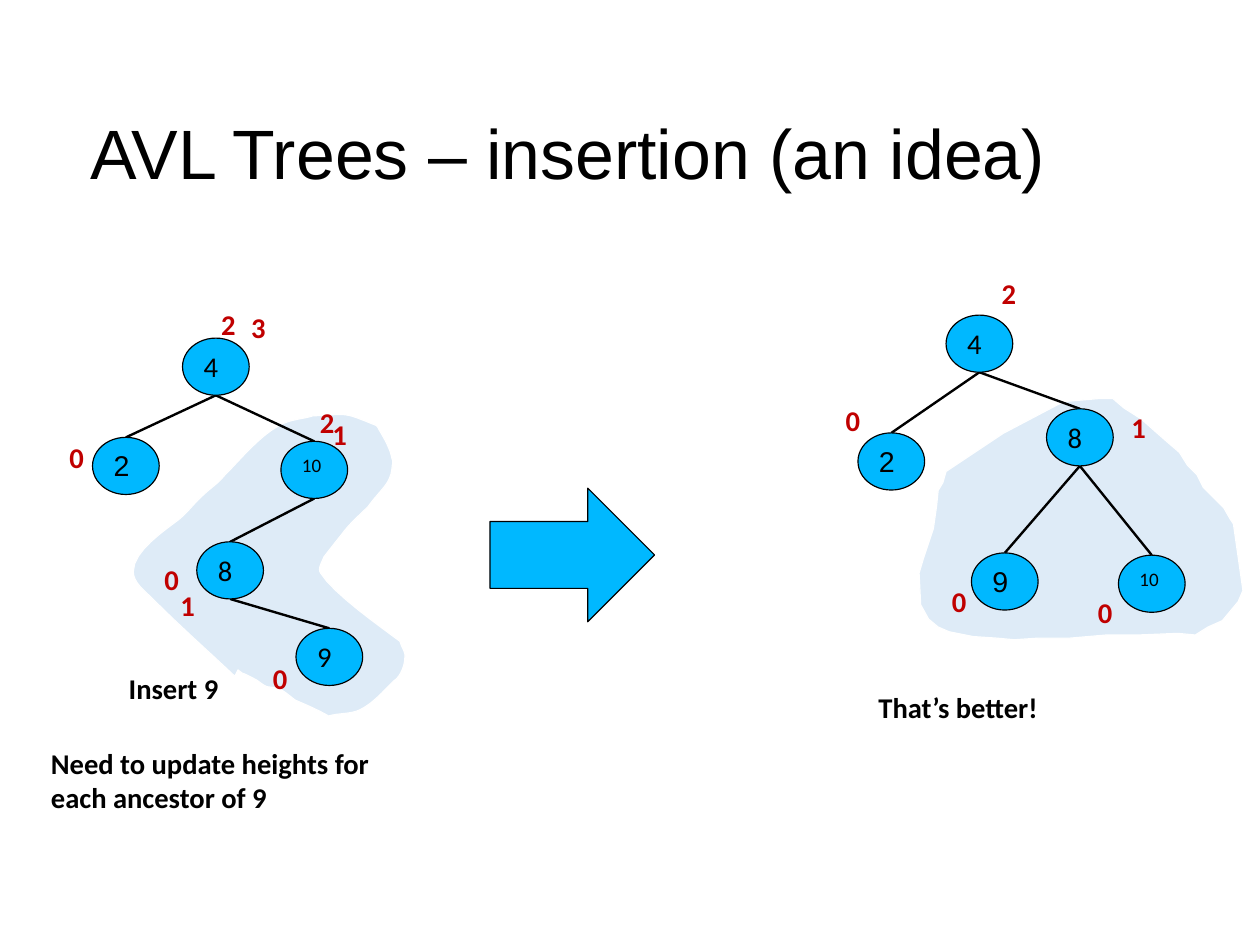
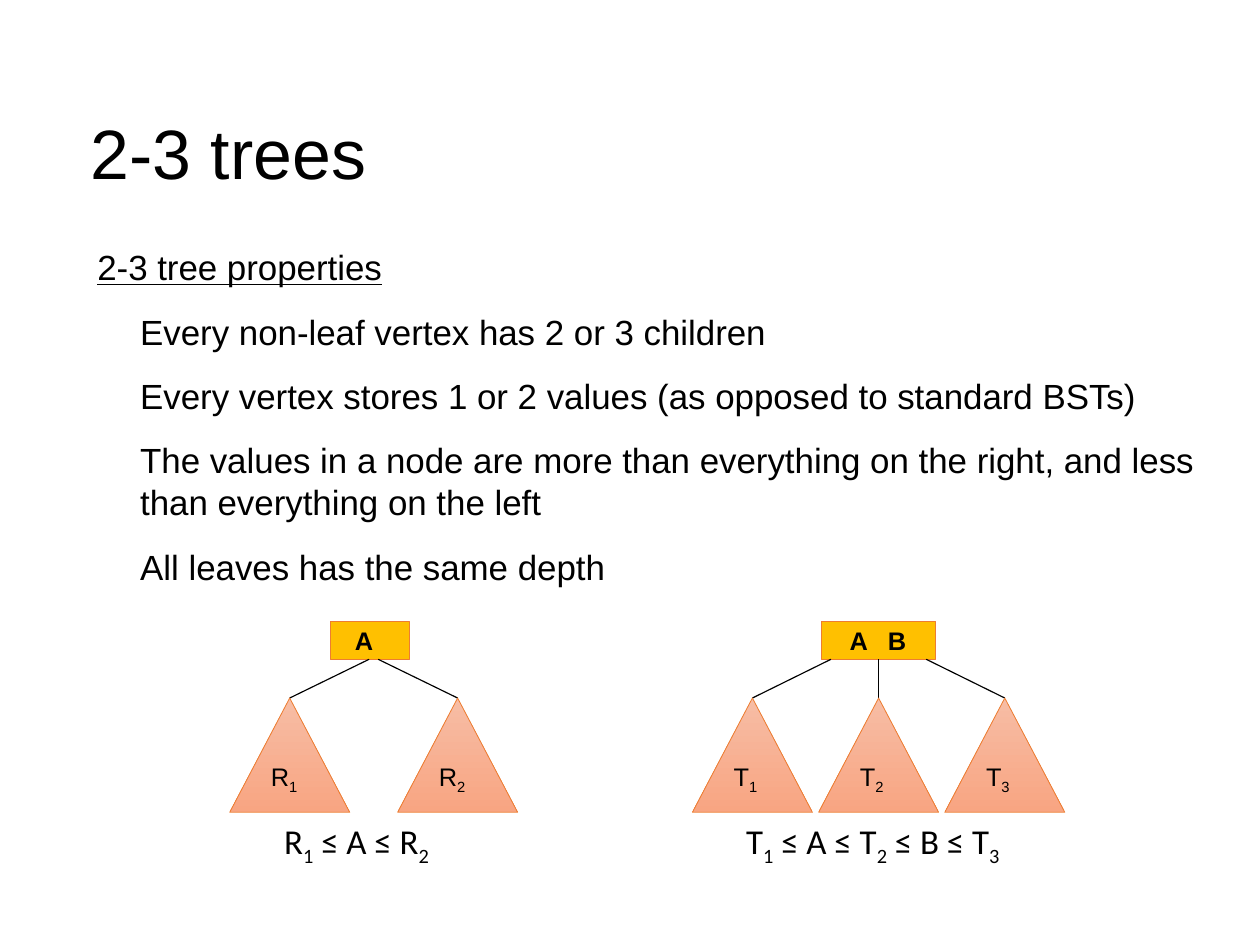
from lxml import etree
from pptx import Presentation
from pptx.dml.color import RGBColor
from pptx.enum.shapes import MSO_CONNECTOR, MSO_SHAPE
from pptx.enum.text import MSO_ANCHOR, PP_ALIGN
from pptx.oxml.ns import qn
from pptx.util import Pt

LINE = MSO_CONNECTOR.STRAIGHT
OVAL, RECT = MSO_SHAPE.OVAL, MSO_SHAPE.RECTANGLE
PEAK, ARROW = MSO_SHAPE.ISOSCELES_TRIANGLE, MSO_SHAPE.RIGHT_ARROW
TOP, MID = MSO_ANCHOR.TOP, MSO_ANCHOR.MIDDLE
LEFT = PP_ALIGN.LEFT
SANS, BODY = "Arial", "Calibri"

HUES = {
    "ink": "000000", "white": "FFFFFF", "node": "00B8FF", "red": "C00000",
    "cloud": "DEEBF7", "gold": "FFC000", "rust": "ED7D31",
    "light": "F7BDA5", "deep": "F8A582",
}
SIZE = (793.75, 595.25)
NODE_W, NODE_H = 42, 36

# Each node: left, top, size, font; each edge: parent, child; heights: text, left, top
TREES = [
    {
        "nodes": {
            "4": (115, 213, 18, BODY), "2": (58.3, 275.5, 18, SANS),
            "10": (177, 278, 12, BODY), "8": (124, 341.3, 18, BODY),
            "9": (186.5, 395.8, 18, BODY),
        },
        "edges": [("4", "2"), ("4", "10"), ("10", "8"), ("8", "9")],
        "heights": [
            ("0", 36.7, 273.6), ("0", 96.5, 350.6), ("1", 202.3, 258.9),
            ("2", 132.3, 189.8), ("3", 151.2, 191.9), ("0", 164.9, 413),
            ("2", 194.4, 251.3), ("1", 106.6, 367),
        ],
    },
    {
        "nodes": {
            "4": (596, 198.5, 18, BODY), "2": (540.5, 272.7, 18, SANS),
            "8": (659.3, 257.5, 18, BODY), "9": (612, 348.3, 18, SANS),
            "10": (704.6, 349.7, 12, BODY),
        },
        "edges": [("4", "2"), ("4", "8"), ("8", "9"), ("8", "10")],
        "heights": [
            ("0", 525.6, 250.4), ("1", 705.6, 254.6), ("2", 624, 170),
            ("0", 592.6, 364), ("0", 684.5, 371.3),
        ],
    },
]
NOTES = [
    ("Insert 9", (74, 419, 105, 27)),
    ("Need to update heights for each ancestor of 9", (25, 466.2, 220, 48)),
    ("That’s better!", (546.3, 431, 245, 27)),
]
# Outline as straight steps
RIGHT_CLOUD = [
    (596, 297), (632, 273), (670, 253), (693, 251), (701, 251), (708, 257),
    (719, 264), (728, 272), (736, 279), (743, 285), (748, 293), (754, 299),
    (758, 307), (765, 314), (771, 320), (775, 327), (777, 330), (783, 372),
    (780, 379), (775, 385), (770, 391), (761, 395), (753, 400), (742, 399),
    (717, 400), (697, 400), (674, 402), (654, 402), (639, 403), (628, 402),
    (613, 401), (598, 398), (591, 395), (585, 390), (580, 381), (579, 361),
    (582, 351), (586, 339), (588, 333), (590, 319), (591, 309), (594, 304),
]
# Outline as a start point, then two handles and an end for each curve
LEFT_CLOUD = [
    (148, 426),
    (131, 410), (113, 394), (96, 377), (91, 372), (84, 367), (84, 360),
    (84, 347), (104, 334), (113, 327), (119, 322), (123, 316), (129, 311),
    (132, 308), (138, 304), (141, 300), (151, 290), (163, 275), (176, 268),
    (183, 264), (191, 264), (197, 262), (220, 261), (215, 259), (237, 268),
    (238, 269), (238, 269), (239, 271), (242, 276), (246, 283), (247, 289),
    (248, 291), (247, 293), (247, 295), (246, 305), (240, 308), (232, 319),
    (226, 325), (220, 330), (215, 337), (211, 342), (207, 347), (204, 351),
    (203, 354), (200, 358), (202, 361), (210, 374), (240, 395), (252, 404),
    (253, 408), (256, 411), (255, 415), (255, 418), (253, 426), (248, 429),
    (241, 436), (235, 443), (227, 447), (221, 450), (214, 449), (207, 451),
    (200, 447), (193, 444), (186, 441), (182, 438), (179, 435), (174, 433),
    (172, 433), (169, 433), (167, 432), (165, 431), (163, 429), (161, 428),
    (150, 422), (155, 426), (150, 422),
]

RULES = [
    "2-3 tree properties",
    "Every non-leaf vertex has 2 or 3 children",
    "Every vertex stores 1 or 2 values (as opposed to standard BSTs)",
    "The values in a node are more than everything on the right, "
    "and less than everything on the left",
    "All leaves has the same depth",
]
# Text between bars is a subscript
SPLITS = [
    {"keys": "A\tB", "box": (517.5, 72), "pad": 17.8,
     "kids": ["T|1", "T|2", "T|3"], "apex": 474, "step": 79.5, "fan": 30,
     "law": "T|1| ≤ A ≤ T|2| ≤ B ≤ T|3", "law_at": (463, 204.5)},
    {"keys": "A", "box": (208, 49.7), "pad": 15.6, "kids": ["R|1", "R|2"],
     "apex": 182.5, "step": 105.8, "fan": 5.7,
     "law": "R|1| ≤ A ≤ R|2", "law_at": (172, 125)},
]
KEY_Y, KEY_H, KID_Y = 391.5, 23.8, 439.7
KID_W, KID_H, LAW_Y, KEY_GAP = 75.6, 72, 512.6, 24


def hue(name):
    return RGBColor.from_string(HUES[name])


def pts(nums):
    return [Pt(n) for n in nums]


def write(par, text, size, font, color="ink", bold=False):
    """Add runs to a paragraph; every second piece between bars is a subscript."""
    for i, part in enumerate(text.split("|")):
        run = par.add_run()
        run.text = part
        face = run.font
        face.size, face.name, face.bold = Pt(size), font, bold
        face.color.rgb = hue(color)
        if i % 2:
            run._r.get_or_add_rPr().set("baseline", "-25000")


def add_text(slide, box, text, size, font, color="ink", bold=False, wrap=True):
    frame = slide.shapes.add_textbox(*pts(box)).text_frame
    frame.word_wrap = wrap
    write(frame.paragraphs[0], text, size, font, color, bold)
    return frame


def pad(frame, left, top, right=0, low=0):
    frame.margin_left, frame.margin_top = Pt(left), Pt(top)
    frame.margin_right, frame.margin_bottom = Pt(right), Pt(low)


def edge_line(shape, color, width):
    shape.line.color.rgb = hue(color)
    shape.line.width = Pt(width)


def add_form(slide, kind, box, fill, line="ink", width=0.75):
    form = slide.shapes.add_shape(kind, *pts(box))
    form.shadow.inherit = False
    if fill:
        form.fill.solid()
        form.fill.fore_color.rgb = hue(fill)
    edge_line(form, line, width)
    return form


def label(form, text, size, font):
    frame = form.text_frame
    frame.vertical_anchor = TOP
    par = frame.paragraphs[0]
    par.alignment, par.line_spacing = LEFT, 0.93
    write(par, text, size, font)


def add_line(slide, start, end, width):
    link = slide.shapes.add_connector(LINE, *pts(start + end))
    edge_line(link, "ink", width)
    etree.SubElement(link._element.spPr, qn("a:effectLst"))


def add_cloud(slide, dots):
    # Pens round to whole units, so draw in hundredths of a point
    fine = [(x * 100, y * 100) for x, y in dots]
    pen = slide.shapes.build_freeform(*fine[0], scale=Pt(1) / 100)
    pen.add_line_segments(fine[1:], close=True)
    cloud = pen.convert_to_shape()
    cloud.shadow.inherit = False
    cloud.fill.solid()
    cloud.fill.fore_color.rgb = hue("cloud")
    edge_line(cloud, "white", 0.75)


def flatten(curve, steps=8):
    """Turn a chain of cubic curves into a list of points."""
    dots = [curve[0]]
    for i in range(0, len(curve) - 1, 3):
        for k in range(1, steps + 1):
            t = k / steps
            mix = ((1 - t) ** 3, 3 * t * (1 - t) ** 2, 3 * t * t * (1 - t), t ** 3)
            dots.append(tuple(
                sum(m * p[axis] for m, p in zip(mix, curve[i:i + 4]))
                for axis in (0, 1)))
    return dots


def new_slide(deck, title):
    slide = deck.slides.add_slide(deck.slide_layouts[6])
    frame = add_text(slide, (57, 44.6, 666, 98.6), title, 44, SANS)
    pad(frame, 0, 3)
    frame.vertical_anchor = MID
    return slide


def draw_tree(slide, tree):
    nodes = tree["nodes"]
    for top, low in tree["edges"]:
        (x1, y1), (x2, y2) = nodes[top][:2], nodes[low][:2]
        half = NODE_W / 2
        add_line(slide, (x1 + half, y1 + NODE_H), (x2 + half, y2), 1.5)
    for name, (x, y, size, font) in nodes.items():
        label(add_form(slide, OVAL, (x, y, NODE_W, NODE_H), "node"),
              name, size, font)
    for text, x, y in tree["heights"]:
        add_text(slide, (x, y, 24.5, 27.4), text, 18, BODY, "red", True, False)


def draw_split(slide, split):
    left, width = split["box"]
    box = add_form(slide, RECT, (left, KEY_Y, width, KEY_H), "gold", "rust", 0.5)
    frame = box.text_frame
    frame.word_wrap = False
    pad(frame, split["pad"], 3.6, 0, 3.6)
    frame.vertical_anchor = MID
    par = frame.paragraphs[0]
    par.alignment = LEFT
    tabs = etree.SubElement(par._p.get_or_add_pPr(), qn("a:tabLst"))
    etree.SubElement(tabs, qn("a:tab"), pos=str(Pt(KEY_GAP)), algn="l")
    write(par, split["keys"], 16, SANS, bold=True)

    mid = (len(split["kids"]) - 1) / 2
    hub = split["apex"] + mid * split["step"]
    for i, kid in enumerate(split["kids"]):
        apex = split["apex"] + i * split["step"]
        start = hub + (i - mid) * split["fan"]
        add_line(slide, (start, KEY_Y + KEY_H), (apex, KID_Y), 0.75)
        peak = add_form(slide, PEAK, (apex - KID_W / 2, KID_Y, KID_W, KID_H),
                        None, "rust", 0.5)
        peak.fill.gradient()
        peak.fill.gradient_angle = 270
        for stop, name in zip(peak.fill.gradient_stops, ("light", "deep")):
            stop.color.rgb = hue(name)
        label(peak, kid, 16, SANS)
    x, w = split["law_at"]
    add_text(slide, (x, LAW_Y, w, 32.4), split["law"], 22, BODY)


def draw_rules(slide):
    frame = slide.shapes.add_textbox(*pts((57, 153.4, 697, 230))).text_frame
    frame.word_wrap = True
    pad(frame, 0, 1.4)
    for i, rule in enumerate(RULES):
        par = frame.add_paragraph() if i else frame.paragraphs[0]
        par.space_after, par.line_spacing = Pt(14.2), 1.0
        par._p.get_or_add_pPr().set("marL", str(Pt(31.3 if i else 4.3)))
        write(par, rule, 22, SANS)
        par.runs[0].font.underline = i == 0


def main():
    deck = Presentation()
    deck.slide_width, deck.slide_height = pts(SIZE)

    slide = new_slide(deck, "AVL Trees – insertion (an idea)")
    add_cloud(slide, RIGHT_CLOUD)
    add_cloud(slide, flatten(LEFT_CLOUD))
    for tree in TREES:
        draw_tree(slide, tree)
    for text, box in NOTES:
        add_text(slide, box, text, 18, BODY, bold=True)
    add_form(slide, ARROW, (308.7, 307.5, 103.7, 84.2), "node")

    slide = new_slide(deck, "2-3 trees")
    draw_rules(slide)
    for split in SPLITS:
        draw_split(slide, split)
    deck.save("out.pptx")


if __name__ == "__main__":
    main()
